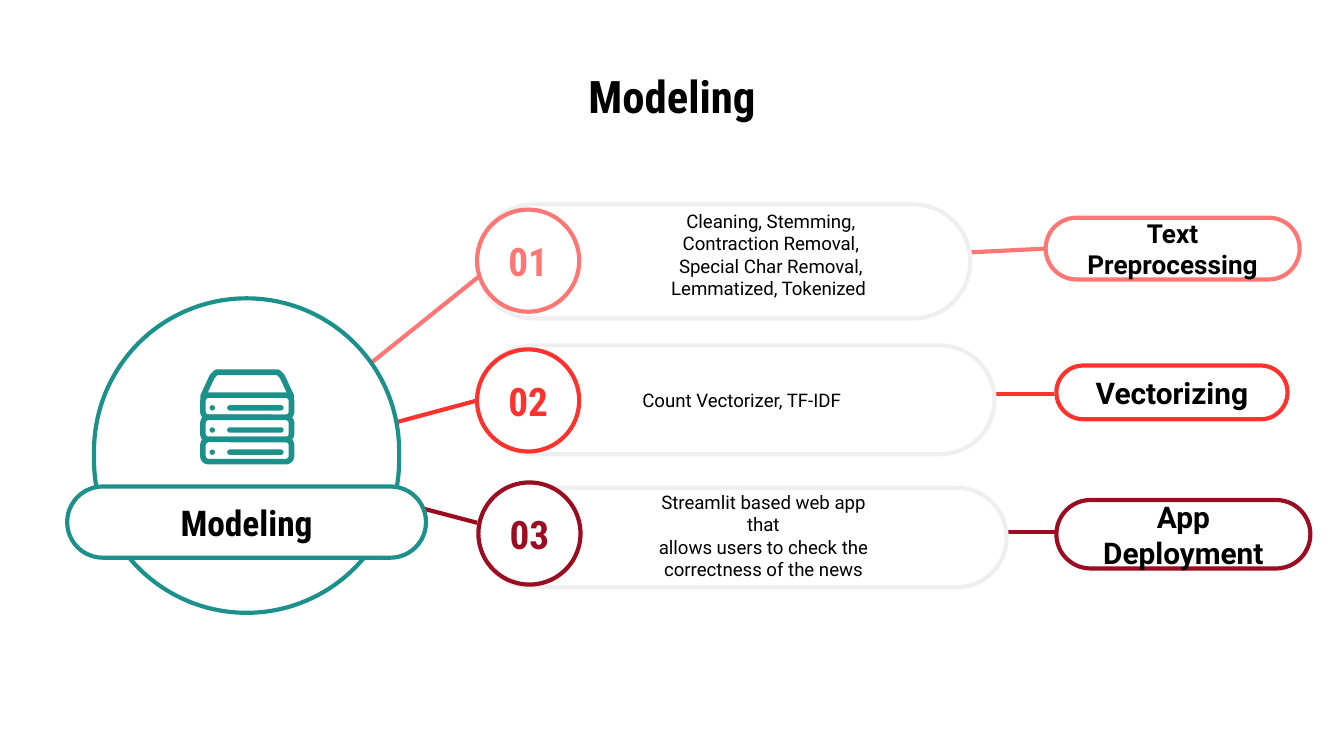
from dataclasses import dataclass

from lxml.etree import SubElement
from pptx import Presentation
from pptx.dml.color import RGBColor
from pptx.enum.shapes import MSO_CONNECTOR, MSO_SHAPE
from pptx.enum.text import MSO_ANCHOR, PP_ALIGN
from pptx.oxml.ns import qn
from pptx.util import Inches, Pt


@dataclass(frozen=True)
class Theme:
    ink: str = "000000"
    paper: str = "FFFFFF"
    frame: str = "EFEFEF"
    teal: str = "1C918B"
    coral: str = "FF7774"
    red: str = "FF322E"
    wine: str = "9B0C21"
    head: str = "Roboto Condensed"
    body: str = "Roboto"
    title: int = 24
    hub: int = 19
    number: int = 21
    note: int = 10
    line: float = 2.25
    icon: float = 3


Box = tuple[float, float, float, float]
Point = tuple[float, float]


@dataclass(frozen=True)
class Step:
    number: str
    color: str
    disc: Point
    spoke: Point
    pill: Box
    note: Box
    lines: list[str]
    tag: Box
    label: str
    size: int
    link: tuple[Point, Point]


LOOK = Theme()
HUB = (1.84, 3.44)
DISC = 0.76
STEPS = [
    Step("01", LOOK.coral, (3.55, 1.56), (3.66, 1.98),
         (3.55, 1.52, 3.67, 0.85), (4.31, 1.67, 2.45, 0.45),
         ["Cleaning, Stemming, Contraction Removal, "
          "Special Char Removal, Lemmatized, Tokenized "],
         (7.78, 1.62, 1.89, 0.46), "Text Preprocessing", 14,
         ((6.76, 1.9), (7.78, 1.85))),
    Step("02", LOOK.red, (3.55, 2.6), (3.55, 2.98),
         (3.56, 2.57, 3.84, 0.81), (4.11, 2.75, 2.45, 0.45),
         ["Count Vectorizer, TF-IDF "],
         (7.86, 2.72, 1.72, 0.4), "Vectorizing", 16,
         ((7.29, 2.93), (7.84, 2.93))),
    Step("03", LOOK.wine, (3.56, 3.59), (3.55, 3.89),
         (3.58, 3.63, 3.91, 0.74), (4.2, 3.76, 2.56, 0.45),
         ["Streamlit based web app that",
          "allows users to check the correctness of the news"],
         (7.86, 3.72, 1.89, 0.51), "App Deployment", 16,
         ((7.03, 3.96), (7.86, 3.96))),
]

deck = Presentation()
deck.slide_width, deck.slide_height = Inches(10), Inches(10 * 9 / 16)
slide = deck.slides.add_slide(deck.slide_layouts[6])
shapes = slide.shapes


def write(shape, *lines: str, size: int, font: str = LOOK.body,
          color: str = LOOK.ink, bold: bool = True,
          left: float = 0.1, right: float = 0.1) -> None:
    frame = shape.text_frame
    frame.word_wrap = True
    frame.vertical_anchor = MSO_ANCHOR.MIDDLE
    frame.margin_left, frame.margin_right = Inches(left), Inches(right)
    frame.margin_top = frame.margin_bottom = Inches(0.1)
    for i, line in enumerate(lines):
        para = frame.add_paragraph() if i else frame.paragraphs[0]
        para.alignment = PP_ALIGN.CENTER
        run = para.add_run()
        run.text = line
        run.font.name, run.font.size, run.font.bold = font, Pt(size), bold
        run.font.color.rgb = RGBColor.from_string(color)


def paint(shape, fill: str, edge: str | None, width: float) -> None:
    shape.shadow.inherit = False
    shape.fill.solid()
    shape.fill.fore_color.rgb = RGBColor.from_string(fill)
    if edge:
        shape.line.color.rgb = RGBColor.from_string(edge)
        shape.line.width = Pt(width)
    else:
        shape.line.fill.background()


def draw(box: Box, edge: str | None, fill: str = LOOK.paper,
         kind: MSO_SHAPE = MSO_SHAPE.ROUNDED_RECTANGLE,
         curve: float = 0.5, width: float = LOOK.line):
    shape = shapes.add_shape(kind, *map(Inches, box))
    if kind == MSO_SHAPE.ROUNDED_RECTANGLE:
        shape.adjustments[0] = curve
    paint(shape, fill, edge, width)
    return shape


def join(start: Point, end: Point, color: str) -> None:
    line = shapes.add_connector(MSO_CONNECTOR.STRAIGHT,
                                *map(Inches, start + end))
    line.line.color.rgb = RGBColor.from_string(color)
    line.line.width = Pt(LOOK.line)
    SubElement(line.element.spPr, qn("a:effectLst"))


def add_step(step: Step) -> None:
    tag = draw(step.tag, step.color)
    write(tag, step.label, size=step.size)
    join(*step.link, step.color)
    draw(step.pill, LOOK.frame)
    note = shapes.add_textbox(*map(Inches, step.note))
    write(note, *step.lines, size=LOOK.note, bold=False, left=0.6, right=0.2)
    join(HUB, step.spoke, step.color)
    disc = draw((*step.disc, DISC, DISC), step.color, kind=MSO_SHAPE.OVAL)
    write(disc, step.number, size=LOOK.number, font=LOOK.head,
          color=step.color, left=0, right=0)


def add_server() -> None:
    """Draw a lid over three server units, each with a lamp and a slot."""
    lid = [(1.51, 2.95), (1.58, 2.8), (1.61, 2.77),
           (2.07, 2.77), (2.1, 2.8), (2.17, 2.95)]
    dots = [(Inches(x), Inches(y)) for x, y in lid]
    pen = shapes.build_freeform(*dots[0], scale=1.0)
    pen.add_line_segments(dots[1:], close=True)
    paint(pen.convert_to_shape(), LOOK.paper, LOOK.teal, LOOK.icon)
    pitch = 0.165
    for i in range(3):
        top = 2.94 + i * pitch
        draw((1.51, top, 0.66, pitch), LOOK.teal, curve=0.25, width=LOOK.icon)
        mid = top + 0.075
        draw((1.56, mid, 0.04, 0.04), None, LOOK.teal, MSO_SHAPE.OVAL)
        draw((1.69, mid, 0.42, 0.04), None, LOOK.teal)


def main() -> None:
    title = shapes.add_textbox(*map(Inches, (0.5, 0.45, 9, 0.53)))
    write(title, "Modeling", size=LOOK.title, font=LOOK.head)
    for step in STEPS:
        add_step(step)
    draw((0.7, 2.22, 2.27, 2.34), LOOK.teal)
    add_server()
    hub = draw((0.5, 3.62, 2.67, 0.53), LOOK.teal)
    write(hub, "Modeling", size=LOOK.hub, font=LOOK.head)
    deck.save("out.pptx")


if __name__ == "__main__":
    main()
